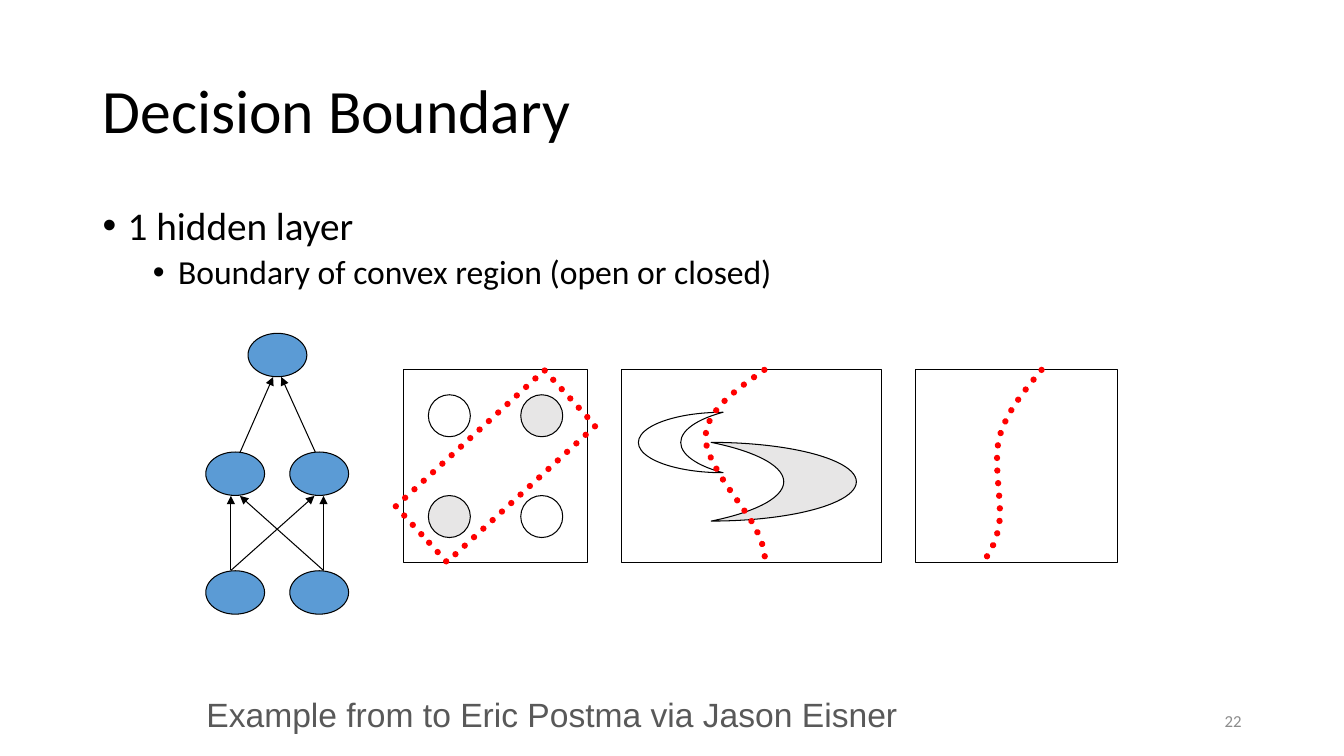
from lxml.etree import SubElement
from pptx import Presentation
from pptx.dml.color import RGBColor
from pptx.enum.dml import MSO_LINE
from pptx.enum.shapes import MSO_CONNECTOR, MSO_SHAPE
from pptx.enum.text import MSO_ANCHOR, MSO_AUTO_SIZE, PP_ALIGN
from pptx.oxml.ns import qn
from pptx.util import Pt

COLORS = {
    "black": "000000",
    "white": "FFFFFF",
    "neuron": "5B9BD5",
    "class": "E7E6E6",
    "boundary": "FF0000",
    "credit": "595959",
    "number": "8C8C8C",
}

NEURON_WIDTH, NEURON_HEIGHT = 42, 31
PANEL_TOP, PANEL_HEIGHT = 264.2, 138
SAMPLE_SIZE = 30


def color(name):
    return RGBColor.from_string(COLORS[name])


def add_text_box(page, left, top, width, height, anchor=MSO_ANCHOR.TOP, wrap=True):
    box = page.shapes.add_textbox(Pt(left), Pt(top), Pt(width), Pt(height))
    box.text_frame.word_wrap = wrap
    box.text_frame.vertical_anchor = anchor
    return box.text_frame


def write(para, text, size, font="Calibri", ink="black", align=PP_ALIGN.LEFT,
          spacing=1.0, before=0, bullet_indent=None):
    """Fill a paragraph; bullet_indent is the text indent of a bulleted line."""
    para.alignment = align
    para.line_spacing = spacing
    para.space_before = Pt(before)
    if bullet_indent is not None:
        properties = para._p.get_or_add_pPr()
        properties.set("marL", str(Pt(bullet_indent)))
        properties.set("indent", str(Pt(-18)))
        SubElement(properties, qn("a:buFont"), typeface="Arial")
        SubElement(properties, qn("a:buChar"), char="•")
    span = para.add_run()
    span.text = text
    span.font.name = font
    span.font.size = Pt(size)
    span.font.color.rgb = color(ink)


def add_outline_shape(page, kind, left, top, width, height, fill=None, rotation=0):
    shape = page.shapes.add_shape(kind, Pt(left), Pt(top), Pt(width), Pt(height))
    shape.shadow.inherit = False
    shape.rotation = rotation
    if fill:
        shape.fill.solid()
        shape.fill.fore_color.rgb = color(fill)
    else:
        shape.fill.background()
    shape.line.color.rgb = color("black")
    shape.line.width = Pt(0.75)
    return shape


def dot_boundary(shape):
    """Give a shape the round-dotted red line of a decision boundary."""
    shape.line.color.rgb = color("boundary")
    shape.line.width = Pt(4.5)
    shape.line.dash_style = MSO_LINE.ROUND_DOT
    shape.line._get_or_add_ln().set("cap", "rnd")


def add_arrow(page, start, end):
    arrow = page.shapes.add_connector(
        MSO_CONNECTOR.STRAIGHT, *(Pt(value) for value in (*start, *end)))
    arrow.line.color.rgb = color("black")
    arrow.line.width = Pt(0.75)
    SubElement(arrow.line._get_or_add_ln(), qn("a:tailEnd"), type="triangle")
    SubElement(arrow._element.spPr, qn("a:effectLst"))


def add_boundary_curve(page, start, *points):
    """Draw joined cubic curves: a start point, then three points per curve."""
    builder = page.shapes.build_freeform(Pt(start[0]), Pt(start[1]))
    builder.add_line_segments([(Pt(x), Pt(y)) for x, y in points], close=False)
    curve = builder.convert_to_shape()
    segments = list(curve._element.iter(qn("a:lnTo")))
    outline = segments[0].getparent()
    for index, segment in enumerate(segments):
        if index % 3 == 0:
            cubic = SubElement(outline, qn("a:cubicBezTo"))
        cubic.append(segment[0])
        outline.remove(segment)
    curve.shadow.inherit = False
    curve.fill.background()
    dot_boundary(curve)


def add_network(page):
    arrows = [
        ((171.4, 323.3), (195.1, 269.3)), ((225.4, 323.3), (200.9, 269.3)),
        ((164.9, 407.5), (164.9, 354.2)), ((231.1, 407.5), (171.4, 354.2)),
        ((164.9, 407.5), (224.6, 354.2)), ((231.1, 407.5), (231.1, 354.2)),
    ]
    for start, end in arrows:
        add_arrow(page, start, end)
    layers = [(253.6, [198.2]), (338.4, [168, 228]), (423.2, [168, 228])]
    for middle, centers in layers:
        for center in centers:
            add_outline_shape(page, MSO_SHAPE.OVAL, center - NEURON_WIDTH / 2,
                              middle - NEURON_HEIGHT / 2, NEURON_WIDTH,
                              NEURON_HEIGHT, "neuron")


def add_regions(page):
    for row, top in enumerate((282, 354)):
        for column, left in enumerate((306, 372)):
            fill = "white" if row == column else "class"
            add_outline_shape(page, MSO_SHAPE.OVAL, left, top,
                              SAMPLE_SIZE, SAMPLE_SIZE, fill)
    add_outline_shape(page, MSO_SHAPE.MOON, 456, 294.5, 60.5, 43.2, "white")
    add_outline_shape(page, MSO_SHAPE.MOON, 508, 316, 103.7, 56.2, "class", 180)
    for left, width in ((288, 132), (444, 186), (654, 144)):
        add_outline_shape(page, MSO_SHAPE.RECTANGLE, left, PANEL_TOP,
                          width, PANEL_HEIGHT)

    dot_boundary(add_outline_shape(page, MSO_SHAPE.RECTANGLE, 327, 261,
                                   54, 144, rotation=47.5))
    add_boundary_curve(
        page, (546, 264.2), (525.6, 278.6), (504.7, 293), (504, 311.8),
        (503.3, 331.2), (532.8, 362.9), (540, 378),
        (547.2, 393.1), (546.5, 397.4), (546, 402))
    add_boundary_curve(
        page, (744, 264.2), (731.5, 279.4), (719.3, 293.8), (714, 311.8),
        (709.2, 329.8), (715.7, 357.1), (714, 372.2),
        (712.1, 387.4), (707, 394.6), (702, 402))


def main():
    deck = Presentation()
    deck.slide_width, deck.slide_height = Pt(960), Pt(540)
    page = deck.slides.add_slide(deck.slide_layouts[6])

    title = add_text_box(page, 66.2, 28.8, 828, 104.4, MSO_ANCHOR.MIDDLE)
    write(title.paragraphs[0], "Decision Boundary", 44, spacing=0.9)
    body = add_text_box(page, 66.2, 144, 828, 342.7)
    write(body.paragraphs[0], "1 hidden layer", 28, spacing=0.9, bullet_indent=18)
    write(body.add_paragraph(), "Boundary of convex region (open or closed)", 24,
          spacing=0.9, before=5, bullet_indent=54)

    add_network(page)
    add_regions(page)

    credit = add_text_box(page, 140.4, 492, 542.9, 36, wrap=False)
    credit.auto_size = MSO_AUTO_SIZE.SHAPE_TO_FIT_TEXT
    write(credit.paragraphs[0], "Example from to Eric Postma via Jason Eisner", 24,
          font="Arial", ink="credit")
    number = add_text_box(page, 678, 500.4, 216, 28.8, MSO_ANCHOR.MIDDLE)
    write(number.paragraphs[0], "22", 12, ink="number", align=PP_ALIGN.RIGHT)
    deck.save("out.pptx")


if __name__ == "__main__":
    main()
